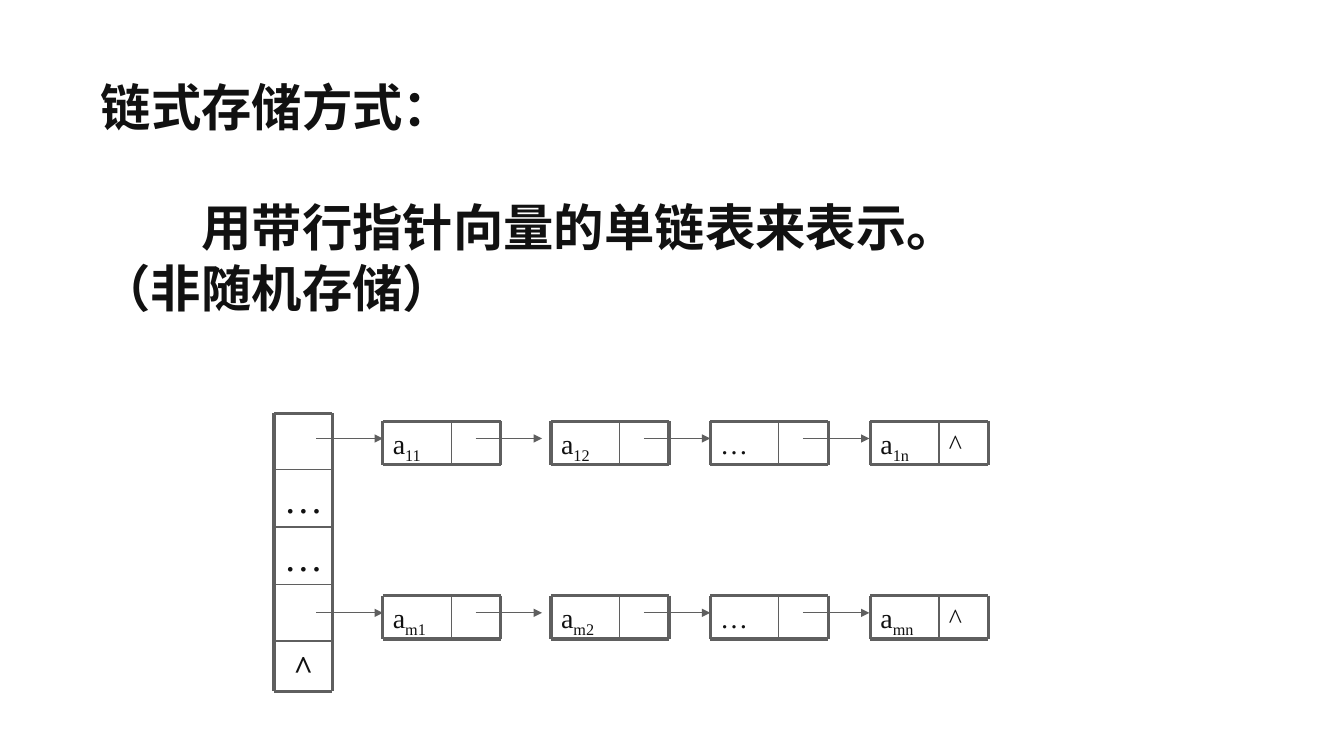
import pptx
import pptx.util
from pptx.dml.color import RGBColor
from pptx.enum.shapes import MSO_CONNECTOR
from pptx.enum.text import MSO_ANCHOR, MSO_AUTO_SIZE, PP_ALIGN
from pptx.oxml.ns import qn
from lxml import etree

PX = 9144  # EMU; 100 px to the inch
INK = RGBColor(0x11, 0x11, 0x11)
GREY = RGBColor(0x5F, 0x5F, 0x5F)
FONT = "Times New Roman"
THICK, THIN, FINE = 2.25, 1, 0.75

NODE_X = (380, 547, 705, 864)
NODE_W, NODE_H, DATA_W = 117, 43, 68
LINK_W, LINK_DY = 66, 17


def emu(*sizes):
    return [pptx.util.Emu(size * PX) for size in sizes]


def style(run, size, bold, sub=False):
    run.font.name = FONT
    run.font.size = pptx.util.Pt(size)
    run.font.bold = bold
    run.font.color.rgb = INK
    if sub:
        run.font._element.set("baseline", "-25000")


def write(frame, text, size=20, bold=False, align=PP_ALIGN.LEFT, before=0,
          sub="", indent=0):
    """Fill a frame, one paragraph a line; indent shifts the first line."""
    frame.word_wrap = True
    frame.auto_size = MSO_AUTO_SIZE.NONE
    frame.vertical_anchor = MSO_ANCHOR.TOP
    for num, line in enumerate(text.split("\n")):
        para = frame.add_paragraph() if num else frame.paragraphs[0]
        para.alignment = align
        para.space_before = pptx.util.Pt(before)
        run = para.add_run()
        run.text = line
        style(run, size, bold)
    if sub:
        run = para.add_run()
        run.text = sub
        style(run, size, bold, sub=True)
    if indent:
        frame.paragraphs[0]._p.get_or_add_pPr().set("indent", str(indent * PX))


def label(slide, box, text, **form):
    write(slide.shapes.add_textbox(*emu(*box)).text_frame, text, **form)


def rule(slide, ends, width=THIN, arrow=False):
    line = slide.shapes.add_connector(MSO_CONNECTOR.STRAIGHT, *emu(*ends))
    line.line.color.rgb = GREY
    line.line.width = pptx.util.Pt(width)
    if arrow:
        etree.SubElement(line.line._get_or_add_ln(),
                         qn("a:tailEnd")).set("type", "triangle")
    etree.SubElement(line._element.spPr, qn("a:effectLst"))


def border(slide, box):
    left, top, width, height = box
    right, low = left + width, top + height
    for y in (top, low):
        rule(slide, (left, y, right, y), THICK)
    for x in (left, right):
        rule(slide, (x, top, x, low), THICK)


def link(slide, left, top):
    rule(slide, (left, top, left + LINK_W, top), FINE, arrow=True)


def intro(slide, box):
    left, top, width, height = box
    title = slide.shapes.title
    title.left, title.top, title.width, title.height = emu(left, top, width, 70)
    write(title.text_frame, "链式存储方式：", size=36, bold=True)
    label(slide, (left, top + 120, width, height - 120),
          "用带行指针向量的单链表来表示。\n（非随机存储）",
          size=36, bold=True, indent=100)


def vector(slide, box):
    """Draw the column of row pointers."""
    left, top, width, height = box
    cells = (("", 56), ("…", 57), ("…", 57), ("", 56), ("^", 50))
    border(slide, box)
    cell_y = top
    for text, cell_h in cells:
        if cell_y > top:
            rule(slide, (left, cell_y, left + width, cell_y))
        if text:
            end = text == "^"
            label(slide, (left, cell_y, width, cell_h), text,
                  size=24 if end else 28, bold=end,
                  before=6 if end else 7, align=PP_ALIGN.CENTER)
        cell_y += cell_h


def node(slide, box, text, sub, last):
    left, top, width, height = box
    split = left + DATA_W
    border(slide, box)
    rule(slide, (split, top, split, top + height))
    label(slide, (left, top, DATA_W, height), text, sub=sub, before=5)
    if last:
        label(slide, (split, top, width - DATA_W, height), "^", before=5)
    else:
        link(slide, left + 92, top + LINK_DY)


def chain(slide, top, row):
    """Draw the linked list of one matrix row."""
    link(slide, 314, top + LINK_DY)
    for left, col in zip(NODE_X, ("1", "2", "", "n")):
        text, sub = ("a", row + col) if col else ("…", "")
        node(slide, (left, top, NODE_W, NODE_H), text, sub, col == "n")


def main():
    deck = pptx.Presentation()
    deck.slide_width, deck.slide_height = emu(1334, 750)
    slide = deck.slides.add_slide(deck.slide_layouts[5])
    intro(slide, (90, 70, 1105, 250))
    vector(slide, (272, 410, 58, 276))
    for top, row in ((418, "1"), (591, "m")):
        chain(slide, top, row)
    deck.save("out.pptx")


if __name__ == "__main__":
    main()
